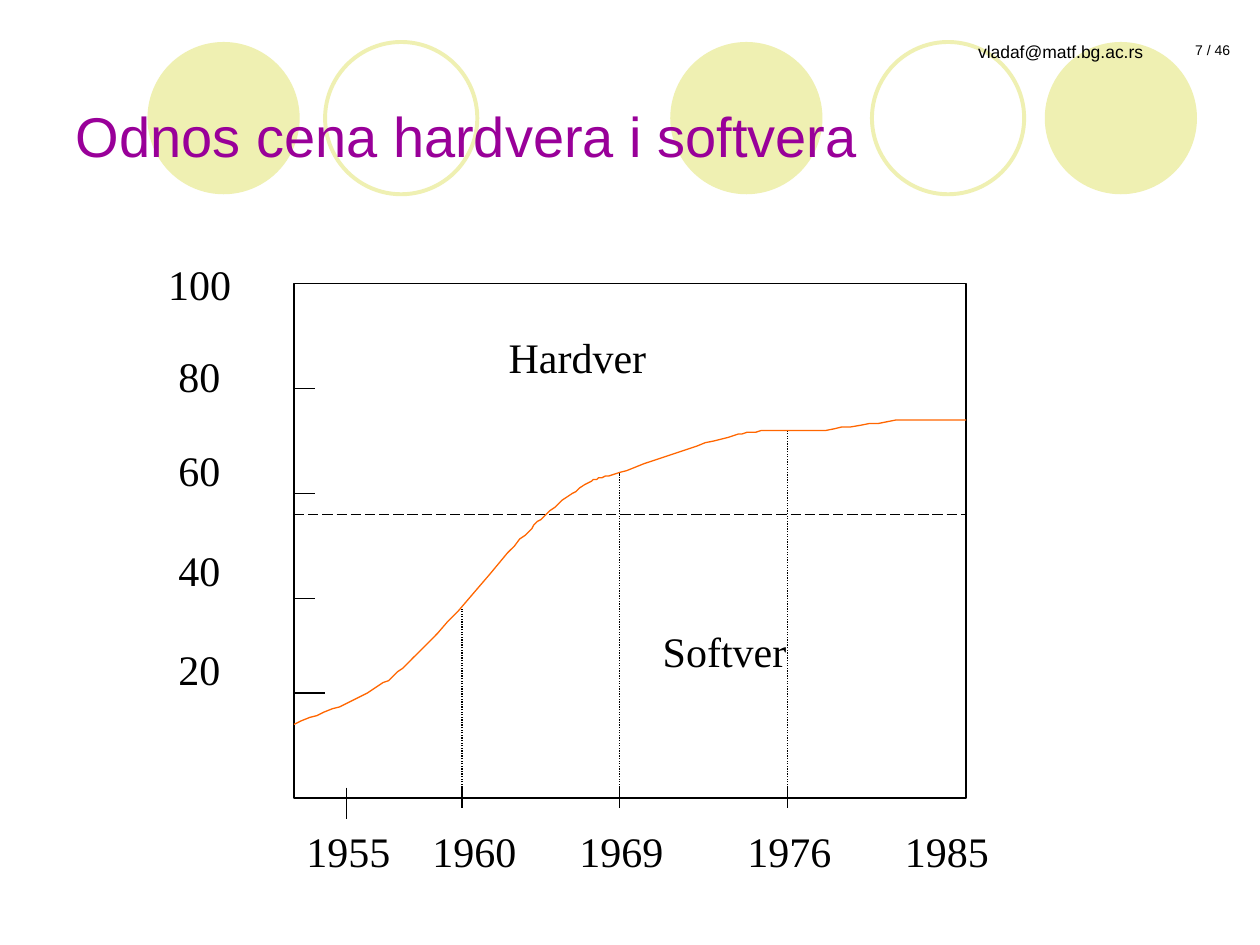
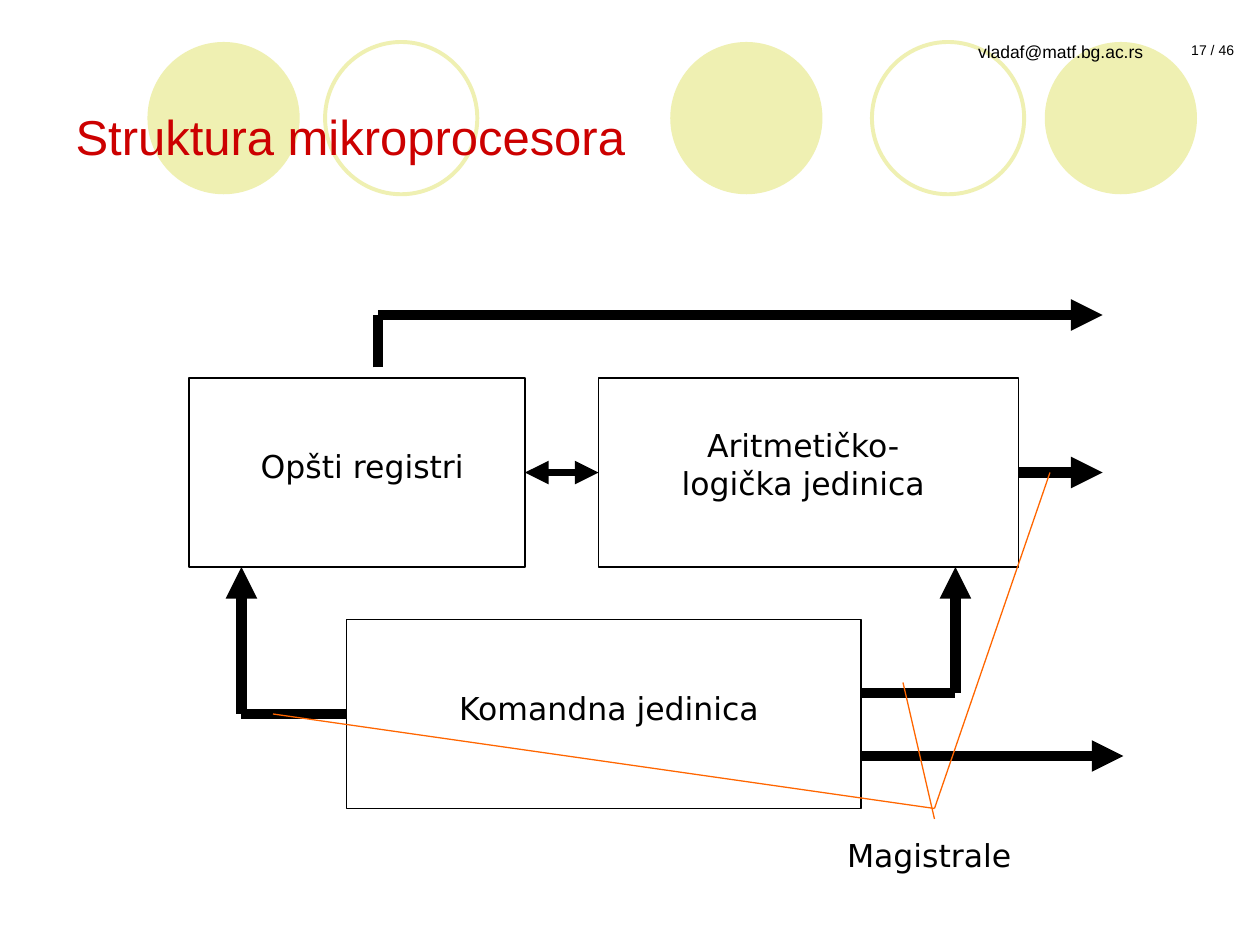
"""Build two lecture slides: a hardware/software cost curve and a microprocessor diagram."""
from dataclasses import dataclass
from typing import Any

from lxml.etree import SubElement
from pptx import Presentation
from pptx.dml.color import RGBColor
from pptx.enum.dml import MSO_LINE_DASH_STYLE as DASH
from pptx.enum.shapes import MSO_CONNECTOR, MSO_SHAPE
from pptx.enum.text import MSO_ANCHOR, MSO_AUTO_SIZE, PP_ALIGN
from pptx.oxml.ns import qn
from pptx.util import Pt

COLORS = {"ink": "000000", "paper": "FFFFFF", "circle": "EFF0B2",
          "accent": "FF6600", "purple": "990099", "red": "CC0000"}
PAGES = 46
CIRCLE = 87
Point = tuple[float, float]


@dataclass
class Label:
    text: str
    x: float
    y: float
    w: float
    h: float
    size: float = 18
    font: str = "DejaVu Sans"
    align: PP_ALIGN = PP_ALIGN.CENTER
    gaps: tuple[float, ...] = (2,)
    tabs: tuple[float, ...] = ()


@dataclass
class Line:
    start: Point
    end: Point
    width: float = 0.75
    color: str = "ink"
    dash: Any = None
    head: bool = False
    tail: bool = False


@dataclass
class Box:
    x: float
    y: float
    w: float
    h: float
    fill: str = "paper"
    line: str = "ink"
    width: float = 0.75
    kind: MSO_SHAPE = MSO_SHAPE.RECTANGLE


def rgb(name: str) -> RGBColor:
    """Return a palette colour."""
    return RGBColor.from_string(COLORS[name])


def apply(target: Any, values: dict[str, Any]) -> None:
    """Set attributes from a dict of format values."""
    for name, value in values.items():
        setattr(target, name, value)


def set_font(p: Any, font: str, size: float, color: str = "ink") -> None:
    """Format every run of a paragraph."""
    for r in p.runs:
        apply(r.font, {"name": font, "size": Pt(size), "bold": False})
        r.font.color.rgb = rgb(color)


def add_label(sl: Any, label: Label) -> Any:
    """Add a text box, one paragraph per line of its text."""
    sp = sl.shapes.add_textbox(*map(Pt, (label.x, label.y, label.w, label.h)))
    tf = sp.text_frame
    tf.word_wrap = True
    tf.text = label.text
    for p, gap in zip(tf.paragraphs, label.gaps):
        apply(p, {"alignment": label.align, "space_before": Pt(gap)})
        set_font(p, label.font, label.size)
        if label.tabs:
            stops = SubElement(p._p.get_or_add_pPr(), qn("a:tabLst"))
            for pos in label.tabs:
                SubElement(stops, qn("a:tab"), pos=str(Pt(pos)), algn="l")
    return sp


def add_box(sl: Any, box: Box) -> Any:
    """Add a preset shape; an empty colour name means no fill or line."""
    sp = sl.shapes.add_shape(box.kind, *map(Pt, (box.x, box.y, box.w, box.h)))
    sp.shadow.inherit = False
    if box.fill:
        sp.fill.solid()
        sp.fill.fore_color.rgb = rgb(box.fill)
    else:
        sp.fill.background()
    if box.line:
        sp.line.color.rgb = rgb(box.line)
        sp.line.width = Pt(box.width)
    else:
        sp.line.fill.background()
    return sp


def add_line(sl: Any, line: Line) -> None:
    """Add a straight connector with optional dash and arrowheads."""
    sp = sl.shapes.add_connector(MSO_CONNECTOR.STRAIGHT, *map(Pt, line.start + line.end))
    sp.line.color.rgb = rgb(line.color)
    sp.line.width = Pt(line.width)
    if line.dash:
        sp.line.dash_style = line.dash
    ln = sp.line._get_or_add_ln()
    for tag, shown in (("a:headEnd", line.head), ("a:tailEnd", line.tail)):
        if shown:
            SubElement(ln, qn(tag), type="triangle")
    SubElement(sp._element.spPr, qn("a:effectLst"))


def add_path(sl: Any, points: list[Point], width: float, arrow: bool = True) -> None:
    """Chain straight lines through the points, with an arrowhead at the last."""
    for i, (start, end) in enumerate(zip(points, points[1:]), 2):
        add_line(sl, Line(start, end, width, tail=arrow and i == len(points)))


def smooth(knots: list[Point], steps: int = 10) -> list[Point]:
    """Sample a Catmull-Rom curve through the knots."""
    def mirror(a: Point, b: Point) -> Point:
        return 2 * a[0] - b[0], 2 * a[1] - b[1]

    pts = [mirror(knots[0], knots[1]), *knots, mirror(knots[-1], knots[-2])]
    curve = [knots[0]]
    for quad in zip(pts, pts[1:], pts[2:], pts[3:]):
        for t in (i / steps for i in range(1, steps + 1)):
            x, y = (b + t * (c - a) / 2 + t**2 * (2 * a - 5 * b + 4 * c - d) / 2
                    + t**3 * (3 * b - a - 3 * c + d) / 2 for a, b, c, d in zip(*quad))
            curve.append((x, y))
    return curve


def add_curve(sl: Any, knots: list[Point]) -> None:
    """Draw an open smooth curve in the accent colour."""
    first, *rest = smooth(knots)
    fb = sl.shapes.build_freeform(*first, scale=float(Pt(1)))
    fb.add_line_segments(rest, close=False)
    sp = fb.convert_to_shape()
    sp.shadow.inherit = False
    sp.fill.background()
    sp.line.color.rgb = rgb("accent")
    sp.line.width = Pt(0.75)


def add_band(sl: Any) -> None:
    """Place the circles and the address on the layout of the slide."""
    circles = [(383, "circle", ""), (597, "circle", ""), (84.25, "circle", ""),
               (498.25, "", "circle"), (185.75, "", "circle")]
    shapes = [add_box(sl, Box(x, 24, CIRCLE, CIRCLE, fill, line, 2.25, MSO_SHAPE.OVAL))
              for x, fill, line in circles]
    shapes.append(add_label(sl, Label("vladaf@matf.bg.ac.rs", 484.5, 20, 175.75, 36,
                                      10, "Arial", PP_ALIGN.RIGHT, (0,))))
    tree = sl.slide_layout.shapes._spTree
    for number, sp in enumerate(shapes, 101):
        sp._element.nvSpPr.cNvPr.set("id", str(number))
        tree.append(sp._element)


def start_slide(prs: Any, title: str, size: float, color: str, page: int) -> Any:
    """Add a slide with its title and page number."""
    sl = prs.slides.add_slide(prs.slide_layouts[5])
    sp = sl.shapes.title
    apply(sp, {"left": Pt(36), "top": Pt(43.2), "width": Pt(648), "height": Pt(68.4)})
    tf = sp.text_frame
    tf.text = title
    apply(tf, {"vertical_anchor": MSO_ANCHOR.MIDDLE, "auto_size": MSO_AUTO_SIZE.NONE})
    tf.paragraphs[0].alignment = PP_ALIGN.LEFT
    set_font(tf.paragraphs[0], "Arial", size, color)
    add_label(sl, Label(f"{page} / {PAGES}", 666, 20, 54, 17.25, 8, "Arial", gaps=(0,)))
    return sl


def draw_costs(sl: Any) -> None:
    """Draw the cost curve with its axes and labels."""
    left, top, right, bottom = 168, 162, 552, 456
    serif = {"size": 24, "font": "Times New Roman"}
    add_box(sl, Box(left, top, right - left, bottom - top))
    for x, end in ((198, 468), (264, 462), (354, 462), (450, 462)):
        add_line(sl, Line((x, 450), (x, end)))
    for y, length in ((222, 12), (282, 12), (342, 12), (396, 18)):
        add_line(sl, Line((left, y), (left + length, y)))
    add_line(sl, Line((left, 294), (right, 294), dash=DASH.LONG_DASH))
    for x, y in ((264, 348), (354, 270), (450, 246)):
        add_line(sl, Line((x, bottom), (x, y), dash=DASH.ROUND_DOT))
    for label in (
        Label("1955\t1960\t1969\t1976\t1985", left, 468, 408, 36,
              align=PP_ALIGN.LEFT, tabs=(72, 156, 252, 342), **serif),
        Label("100\n80\n60\n40\n20", 72, 144, 84, 270.75, gaps=(2, 24, 25, 28, 28), **serif),
        Label("Hardver", 222, 186, 216, 36, **serif),
        Label("Softver", 318, 354, 192, 36, **serif),
    ):
        add_label(sl, label)
    add_curve(sl, [(left, 414), (210, 396), (240, 372), (294, 312), (312, 294), (336, 276),
                   (354, 270), (408, 252), (438, 246), (468, 246), (516, 240), (right, 240)])


def draw_processor(sl: Any) -> None:
    """Draw the units of the processor and the buses between them."""
    for x, y, w in ((108, 216, 192), (342, 216, 240), (198, 354, 294)):
        add_box(sl, Box(x, y, w, 108))
    for points in (
        [(198, 408), (138, 408), (138, 324)],
        [(492, 396), (546, 396), (546, 324)],
        [(216, 210), (216, 180), (630, 180)],
        [(492, 432), (642, 432)],
        [(582, 270), (630, 270)],
    ):
        add_path(sl, points, 6)
    add_line(sl, Line((300, 270), (342, 270), 4.5, head=True, tail=True))
    for label in (
        Label("Opšti registri", 126, 252, 162, 28.8),
        Label("Aritmetičko-logička jedinica", 366, 240, 186, 50.4),
        Label("Komandna jedinica", 228, 390, 240, 28.8),
        Label("Magistrale", 420, 474, 222, 28.8),
    ):
        add_label(sl, label)
    for start, end in (((516, 390), (534, 468)), ((600, 270), (534, 462)),
                       ((156, 408), (534, 462))):
        add_line(sl, Line(start, end, color="accent"))


def main() -> None:
    """Build and save the presentation."""
    prs = Presentation()
    apply(prs, {"slide_width": Pt(720), "slide_height": Pt(540)})
    costs = start_slide(prs, "Odnos cena hardvera i softvera", 32, "purple", 7)
    add_band(costs)
    draw_costs(costs)
    draw_processor(start_slide(prs, "Struktura mikroprocesora", 28, "red", 17))
    prs.save("out.pptx")


if __name__ == "__main__":
    main()
